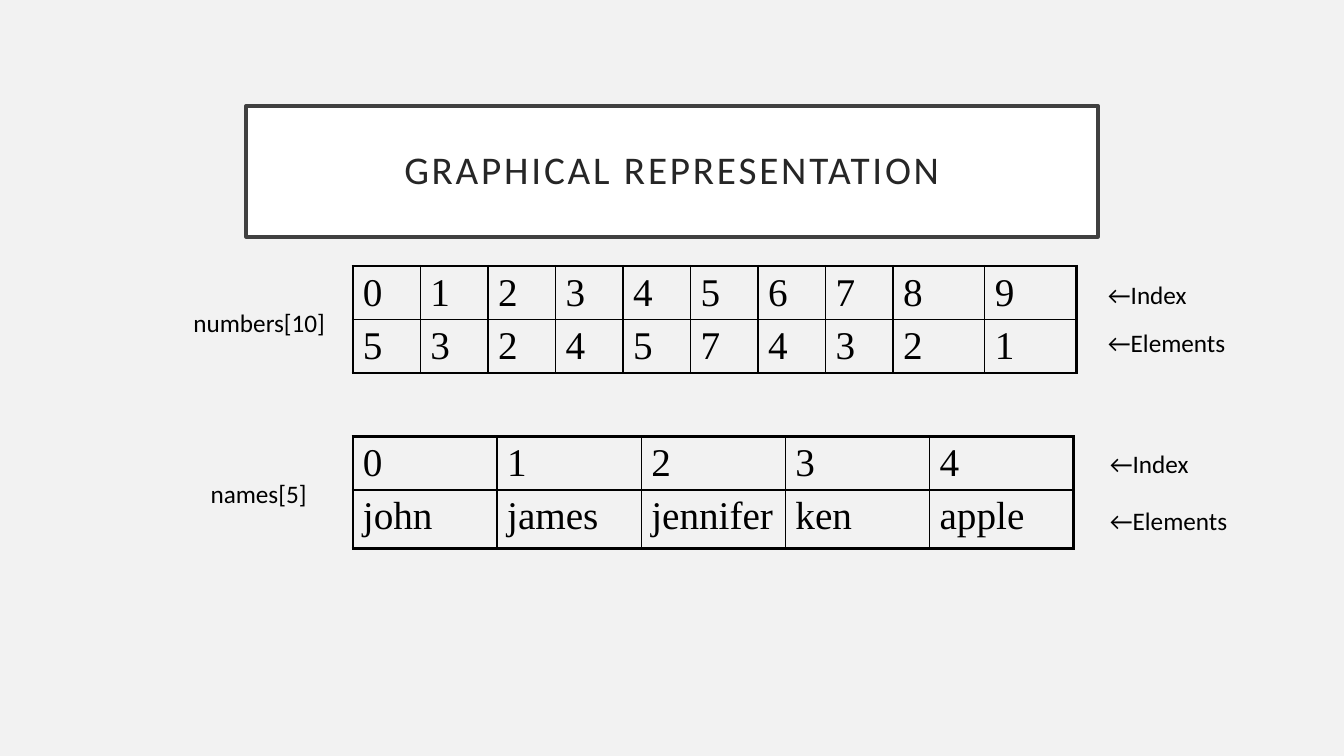
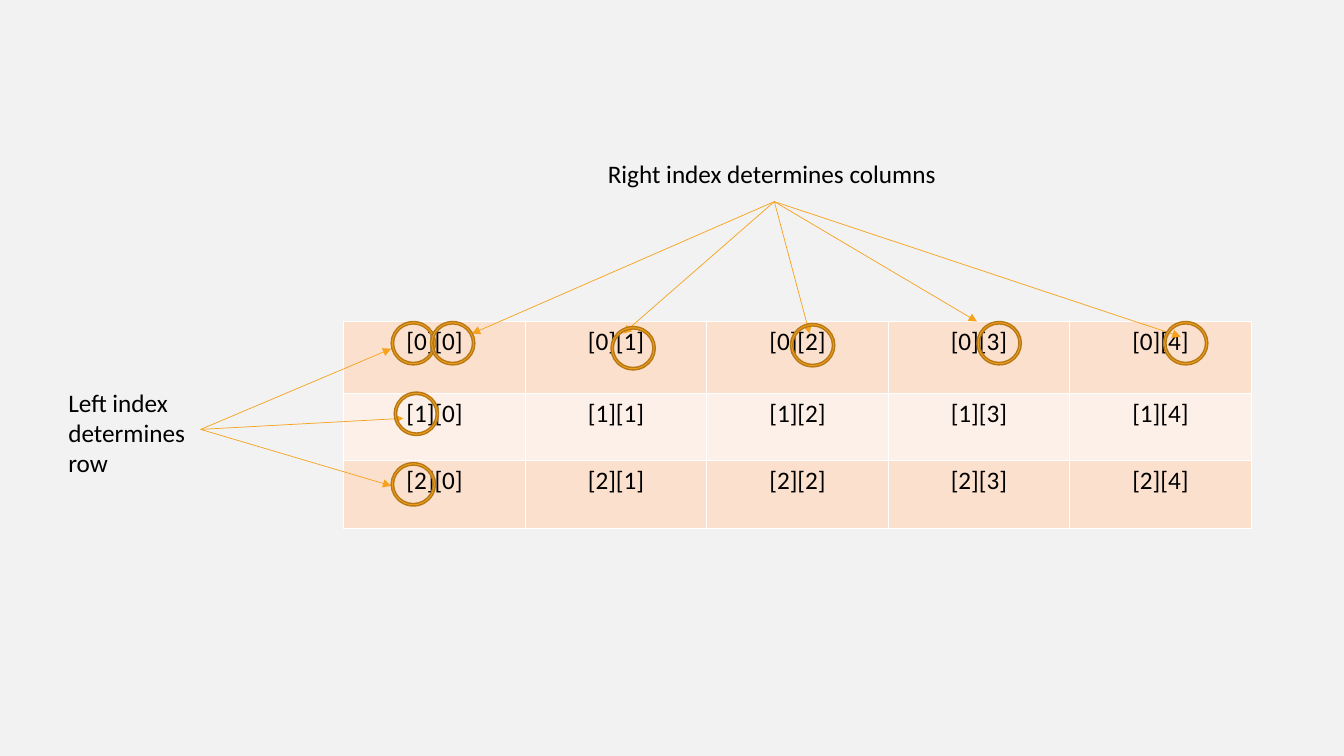
from lxml import etree
from pptx import Presentation
from pptx.dml import color as col
from pptx.enum import shapes, text
from pptx.oxml import ns
from pptx.util import Inches, Pt

HUES = {
    "back": "F2F2F2", "white": "FFFFFF", "black": "000000",
    "frame": "404040", "title": "262626",
    "gold": "F6A21D", "edge": "B67815",
    "peach": "FBE0CD", "pale": "FDF0E8",
}
BODY, SERIF = "Calibri", "Times New Roman"
MID = text.PP_ALIGN.CENTER


def hue(name):
    return col.RGBColor.from_string(HUES[name])


class Deck:
    """Holds the style and the current slide."""

    def __init__(self):
        self.prs = Presentation()
        self.prs.slide_width = Inches(13.33)
        self.prs.slide_height = Inches(7.5)
        self.slide = None

    def new(self):
        self.slide = self.prs.slides.add_slide(self.prs.slide_layouts[6])
        fill = self.slide.background.fill
        fill.solid()
        fill.fore_color.rgb = hue("back")

    def run(self, para, words, size=18, font=BODY, tint="black"):
        run = para.add_run()
        run.text = words
        run.font.size = Pt(size)
        run.font.name = font
        run.font.color.rgb = hue(tint)
        return run

    def shape(self, kind, box, fill, line, width):
        shape = self.slide.shapes.add_shape(kind, *map(Inches, box))
        shape.shadow.inherit = False
        shape.fill.solid()
        shape.fill.fore_color.rgb = hue(fill)
        shape.line.color.rgb = hue(line)
        shape.line.width = Pt(width)
        return shape

    def title(self, words):
        box = self.shape(shapes.MSO_SHAPE.RECTANGLE, (2.44, 1.05, 8.45, 1.3),
                         "white", "frame", 2.5)
        frame = box.text_frame
        frame.word_wrap = True
        frame.vertical_anchor = text.MSO_ANCHOR.MIDDLE
        frame.margin_left = frame.margin_right = Inches(0.2)
        frame.margin_top = frame.margin_bottom = Inches(0.2)
        para = frame.paragraphs[0]
        para.alignment = MID
        para.line_spacing = 0.9
        run = self.run(para, words, 28, tint="title")
        run.font._element.set("spc", "200")

    def label(self, box, *lines, wrap=False):
        frame = self.slide.shapes.add_textbox(*map(Inches, box)).text_frame
        frame.word_wrap = wrap
        for i, words in enumerate(lines):
            para = frame.add_paragraph() if i else frame.paragraphs[0]
            self.run(para, words)

    def ring(self, left, top):
        ring = self.shape(shapes.MSO_SHAPE.DONUT, (left, top, 0.44, 0.43),
                          "gold", "edge", 1)
        ring.adjustments[0] = 0.055

    def arrow(self, start, end):
        line = self.slide.shapes.add_connector(
            shapes.MSO_CONNECTOR.STRAIGHT, *map(Inches, start + end))
        line.line.color.rgb = hue("gold")
        line.line.width = Pt(0.5)
        etree.SubElement(line.line._get_or_add_ln(), ns.qn("a:tailEnd"),
                         type="triangle")
        etree.SubElement(line._element.spPr, ns.qn("a:effectLst"))

    def border(self, cell, tint, widths):
        props = cell._tc.get_or_add_tcPr()
        for i, (side, width) in enumerate(zip("LRTB", widths)):
            line = etree.Element(ns.qn("a:ln" + side), w=str(Pt(width)))
            fill = etree.SubElement(line, ns.qn("a:solidFill"))
            etree.SubElement(fill, ns.qn("a:srgbClr"), val=HUES[tint])
            props.insert(i, line)

    def table(self, spot, cols, rows, cells, fills=(), tint="black",
              outer=1, size=18, font=BODY, align=None):
        box = (*spot, sum(cols), sum(rows))
        grid = self.slide.shapes.add_table(
            len(rows), len(cols), *map(Inches, box)).table
        grid.first_row = grid.horz_banding = False
        for part, sizes in ((grid.columns, cols), (grid.rows, rows)):
            for i, item in enumerate(sizes):
                if part is grid.columns:
                    part[i].width = Inches(item)
                else:
                    part[i].height = Inches(item)
        for r, row in enumerate(cells):
            for c, words in enumerate(row):
                cell = grid.cell(r, c)
                if fills:
                    cell.fill.solid()
                    cell.fill.fore_color.rgb = hue(fills[r % len(fills)])
                else:
                    cell.fill.background()
                ends = (c == 0, c == len(cols) - 1,
                        r == 0, r == len(rows) - 1)
                self.border(cell, tint, [outer if e else 1 for e in ends])
                para = cell.text_frame.paragraphs[0]
                para.alignment = align
                self.run(para, words, size, font)


def arrays(deck):
    deck.new()
    deck.title("GRAPHICAL REPRESENTATION")

    # Arrays with their indexes
    look = dict(outer=2.25, size=28, font=SERIF)
    deck.table((3.5, 2.64), [0.67] * 8 + [0.91] * 2, [0.53, 0.53],
               ["0123456789", "5324574321"], **look)
    deck.table((3.5, 4.33), [1.43] * 5, [0.53, 0.58],
               ["01234", ["john", "james", "jennifer", "ken", "apple"]],
               **look)

    # Names on the left, row meanings on the right
    deck.label((1.82, 3, 1.52, 0.4), "numbers[10]")
    deck.label((1.99, 4.7, 1.16, 0.4), "names[5]")
    for left, top, words in ((10.89, 2.72, "Index"), (10.89, 3.2, "Elements"),
                             (10.91, 4.4, "Index"), (10.91, 4.96, "Elements")):
        deck.label((left, top, 1.5, 0.4), "←" + words, wrap=True)


def matrix(deck):
    deck.new()

    # Index grid
    deck.table((3.41, 3.19), [1.8] * 5, [0.71, 0.67, 0.67],
               [[f"[{r}][{c}]" for c in range(5)] for r in range(3)],
               fills=("peach", "pale"), tint="white", align=MID)

    # Row and column pointers
    for tip in ((3.88, 3.46), (4, 4.15), (3.88, 4.82)):
        deck.arrow((1.99, 4.26), tip)
    for tip in ((4.68, 3.31), (6.18, 3.31), (8.03, 3.31),
                (9.69, 3.19), (11.71, 3.34)):
        deck.arrow((7.68, 2), tip)

    # Rings around the row indexes, then the column indexes
    for spot in ((3.88, 3.19), (3.91, 3.89), (3.88, 4.59),
                 (4.27, 3.19), (6.06, 3.24), (7.84, 3.21),
                 (9.69, 3.19), (11.54, 3.19)):
        deck.ring(*spot)

    # Captions
    deck.label((0.58, 3.79, 1.37, 1.01), "Left index", "determines", "row")
    deck.label((5.93, 1.52, 3.49, 0.4), "Right index determines columns")


def main():
    deck = Deck()
    arrays(deck)
    matrix(deck)
    deck.prs.save("out.pptx")


if __name__ == "__main__":
    main()
